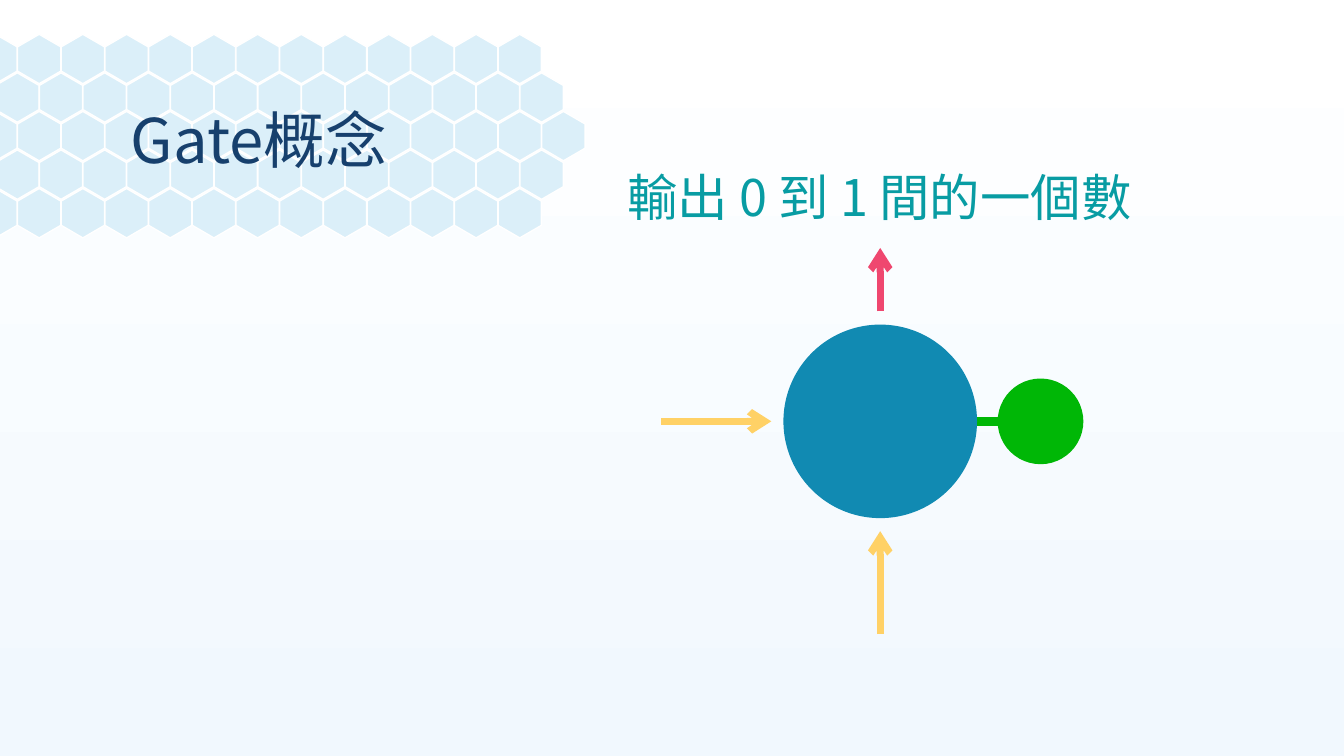
"""Build the slide that introduces the concept of a gate with a single valued output."""
from lxml import etree
from pptx import Presentation
from pptx.dml.color import RGBColor
from pptx.enum.shapes import MSO_CONNECTOR, MSO_SHAPE
from pptx.enum.text import MSO_ANCHOR, MSO_AUTO_SIZE
from pptx.oxml.ns import qn
from pptx.util import Inches, Pt

STRAIGHT = MSO_CONNECTOR.STRAIGHT
HEXAGON, OVAL = MSO_SHAPE.HEXAGON, MSO_SHAPE.OVAL
MIDDLE = MSO_ANCHOR.MIDDLE
GROW, FIXED = MSO_AUTO_SIZE.SHAPE_TO_FIT_TEXT, MSO_AUTO_SIZE.NONE

THEME = {
    "font": "Noto Sans CJK SC", "title_size": 44, "label_size": 36,
    "title": "17406D", "label": "089CA3", "cell": "DBEFF9", "grout": "FFFFFF",
    "sky": ("FFFFFF", "F1F8FE"), "gate": "118AB2", "control": "00B706",
    "input": "FFD166", "output": "EF476F",
}

deck = Presentation()
deck.slide_width, deck.slide_height = Inches(13.33), Inches(7.5)
slide = deck.slides.add_slide(deck.slide_layouts[6])


def add_text(text, left, top, width, height, *, size, color, inset=(0.1, 0.05), spacing=1.0, fit=FIXED):
    box = slide.shapes.add_textbox(Inches(left), Inches(top), Inches(width), Inches(height))
    frame = box.text_frame
    frame.word_wrap, frame.auto_size, frame.vertical_anchor = True, fit, MIDDLE
    frame.margin_left = frame.margin_right = Inches(inset[0])
    frame.margin_top = frame.margin_bottom = Inches(inset[1])
    paragraph = frame.paragraphs[0]
    paragraph.line_spacing = spacing
    run = paragraph.add_run()
    run.text = text
    run.font.size, run.font.name = Pt(size), THEME["font"]
    run.font.color.rgb = RGBColor.from_string(color)
    east_asian = etree.SubElement(run.font._element, qn("a:ea"))
    east_asian.set("typeface", THEME["font"])


def add_link(start, end, color, weight, arrow=True):
    link = slide.shapes.add_connector(STRAIGHT, *(Inches(value) for value in start + end))
    link.line.width = Pt(weight)
    link.line.color.rgb = RGBColor.from_string(color)
    if arrow:
        etree.SubElement(link.line._get_or_add_ln(), qn("a:tailEnd")).set("type", "arrow")
    etree.SubElement(link._element.spPr, qn("a:effectLst"))


sky = slide.background.fill
sky.gradient()
sky.gradient_angle = 270
for stop, color in zip(sky.gradient_stops, THEME["sky"]):
    stop.color.rgb = RGBColor.from_string(color)

CELL_LENGTH, CELL_WIDTH = 0.49, 0.43
COLUMN_STEP, ROW_STEP = 5.2 / 12, 0.3825
honeycomb = slide.shapes.add_group_shape()
for row, cell_count in enumerate((13, 13, 14, 13, 13)):
    for column in range(cell_count):
        left = -0.29 + (column + row % 2 / 2) * COLUMN_STEP
        cell = honeycomb.shapes.add_shape(
            HEXAGON, Inches(left), Inches(0.37 + row * ROW_STEP), Inches(CELL_LENGTH), Inches(CELL_WIDTH))
        cell.rotation = 90
        cell.adjustments[0] = 0.29
        cell.shadow.inherit = False
        cell.fill.solid()
        cell.fill.fore_color.rgb = RGBColor.from_string(THEME["cell"])
        cell.line.color.rgb = RGBColor.from_string(THEME["grout"])
        cell.line.width = Pt(1)

add_text("Gate概念", 1.2, 0.63, 3.8, 1.58, size=THEME["title_size"], color=THEME["title"], spacing=0.9)

GATE_X, GATE_Y = 8.73, 4.18
add_link((9.42, GATE_Y), (10.2, GATE_Y), THEME["control"], 6, arrow=False)
for center_x, diameter, color in ((GATE_X, 1.92, THEME["gate"]), (10.32, 0.85, THEME["control"])):
    disc = slide.shapes.add_shape(
        OVAL, Inches(center_x - diameter / 2), Inches(GATE_Y - diameter / 2), Inches(diameter), Inches(diameter))
    disc.shadow.inherit = False
    disc.fill.solid()
    disc.fill.fore_color.rgb = RGBColor.from_string(color)
    disc.line.fill.background()

add_link((6.56, GATE_Y), (7.65, GATE_Y), THEME["input"], 5)
add_link((GATE_X, 6.29), (GATE_X, 5.27), THEME["input"], 5)
add_link((GATE_X, 3.09), (GATE_X, 2.46), THEME["output"], 5)

add_text("輸出 0 到 1 間的一個數", 6.16, 1.59, 5.13, 0.72, size=THEME["label_size"],
         color=THEME["label"], inset=(0.06, 0.06), fit=GROW)

deck.save("out.pptx")
